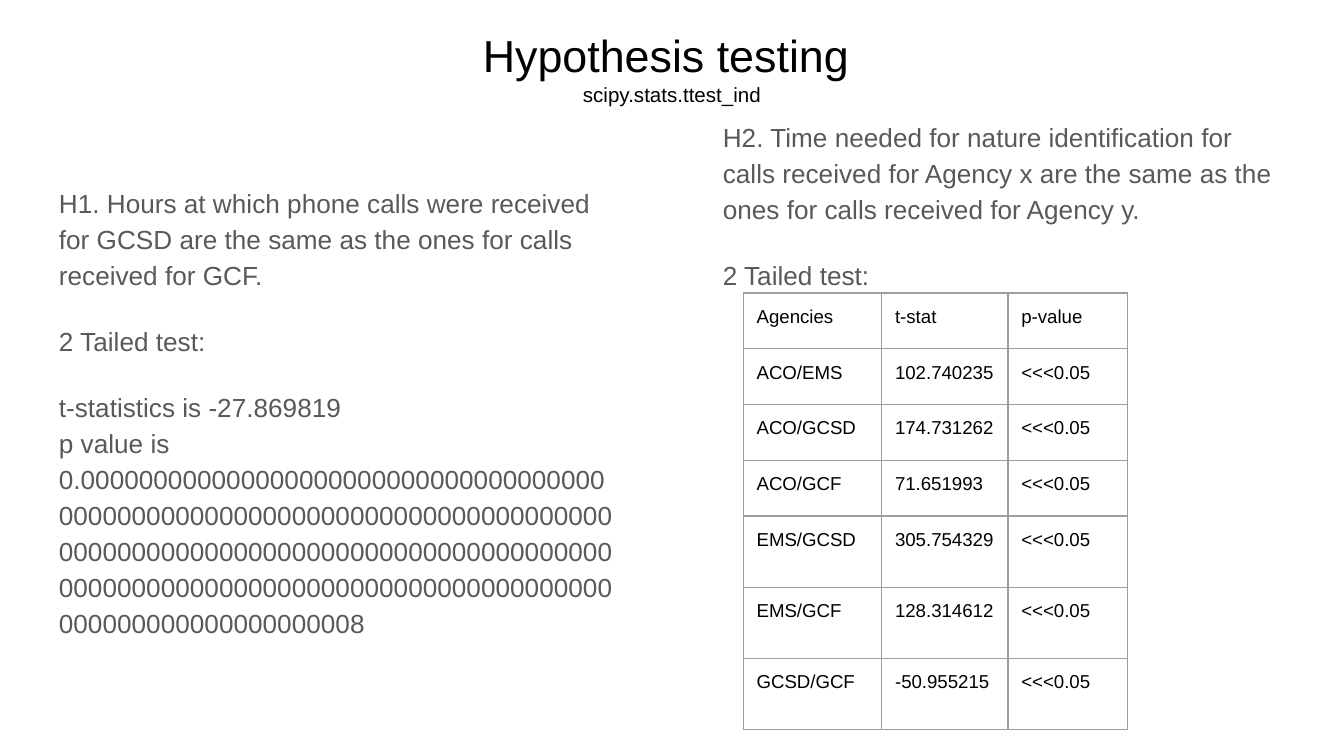
from lxml.etree import SubElement
from pptx import Presentation
from pptx.dml.color import RGBColor
from pptx.enum.text import MSO_ANCHOR, PP_ALIGN
from pptx.oxml.ns import qn
from pptx.util import Inches, Pt

COLORS = {"title": "000000", "body": "595959", "cell": "000000", "border": "9E9E9E"}
FONT = "Arial"
INSET = Inches(0.1)
BORDER_WIDTH = Pt(0.75)

H1_LINES = [
    "H1. Hours at which phone calls were received for GCSD are the same "
    "as the ones for calls received for GCF.",
    "2 Tailed test:",
    "t-statistics is -27.869819\np value is 0." + "0" * 170 + "8",
]
H2_LINES = [
    "H2. Time needed for nature identification for calls received for Agency x "
    "are the same as the ones for calls received for Agency y.",
    "2 Tailed test:",
]
T_STATS = {
    "ACO/EMS": "102.740235",
    "ACO/GCSD": "174.731262",
    "ACO/GCF": "71.651993",
    "EMS/GCSD": "305.754329",
    "EMS/GCF": "128.314612",
    "GCSD/GCF": "-50.955215",
}
COLUMN_WIDTHS = [1.03, 0.94, 0.89]
TABLE_HEIGHT = 3.25
TALL_ROWS = [0.53] * 3
ROW_HEIGHTS = [(TABLE_HEIGHT - sum(TALL_ROWS)) / 4] * 4 + TALL_ROWS


def write(para, text, size, color):
    para.text = text
    for span in para.runs:
        span.font.name = FONT
        span.font.size = Pt(size)
        span.font.color.rgb = RGBColor.from_string(COLORS[color])


def add_text_frame(page, box):
    frame = page.shapes.add_textbox(*map(Inches, box)).text_frame
    frame.word_wrap = True
    frame.vertical_anchor = MSO_ANCHOR.TOP
    frame.margin_left = frame.margin_right = INSET
    frame.margin_top = frame.margin_bottom = INSET
    return frame


def add_title(page, box, title, subtitle):
    frame = add_text_frame(page, box)
    write(frame.paragraphs[0], title, 24, "title")
    write(frame.add_paragraph(), subtitle, 11, "title")
    for para in frame.paragraphs:
        para.alignment = PP_ALIGN.CENTER


def add_hypothesis(page, box, lines):
    frame = add_text_frame(page, box)
    for index, line in enumerate(lines):
        para = frame.add_paragraph() if index else frame.paragraphs[0]
        write(para, line, 14, "body")
        para.line_spacing = 1.15
        para.space_before = Pt(16 if index else 0)


def add_borders(cell):
    properties = cell._tc.get_or_add_tcPr()
    for side in ("lnL", "lnR", "lnT", "lnB"):
        line = SubElement(properties, qn(f"a:{side}"), w=str(int(BORDER_WIDTH)))
        fill = SubElement(line, qn("a:solidFill"))
        SubElement(fill, qn("a:srgbClr"), val=COLORS["border"])


def add_results_table(page, left, top):
    rows = [("Agencies", "t-stat", "p-value")]
    rows += [(pair, value, "<<<0.05") for pair, value in T_STATS.items()]
    table = page.shapes.add_table(
        len(rows), len(COLUMN_WIDTHS), Inches(left), Inches(top),
        Inches(sum(COLUMN_WIDTHS)), Inches(TABLE_HEIGHT),
    ).table
    table.first_row = table.horz_banding = False
    for column, width in zip(table.columns, COLUMN_WIDTHS):
        column.width = Inches(width)
    for row, height, texts in zip(table.rows, ROW_HEIGHTS, rows):
        row.height = Inches(height)
        for cell, text in zip(row.cells, texts):
            cell.margin_left = cell.margin_right = INSET
            cell.margin_top = cell.margin_bottom = INSET
            write(cell.text_frame.paragraphs[0], text, 10, "cell")
            add_borders(cell)
            cell.fill.background()


def main():
    deck = Presentation()
    deck.slide_width = Inches(10)
    deck.slide_height = deck.slide_width * 9 // 16
    page = deck.slides.add_slide(deck.slide_layouts[6])
    add_title(page, (0.34, 0.11, 9.32, 0.6), "Hypothesis testing ", "scipy.stats.ttest_ind")
    add_hypothesis(page, (0.34, 1.26, 4.36, 3.74), H1_LINES)
    add_hypothesis(page, (5.28, 0.77, 4.36, 4.72), H2_LINES)
    add_results_table(page, 5.53, 2.18)
    deck.save("out.pptx")


if __name__ == "__main__":
    main()
